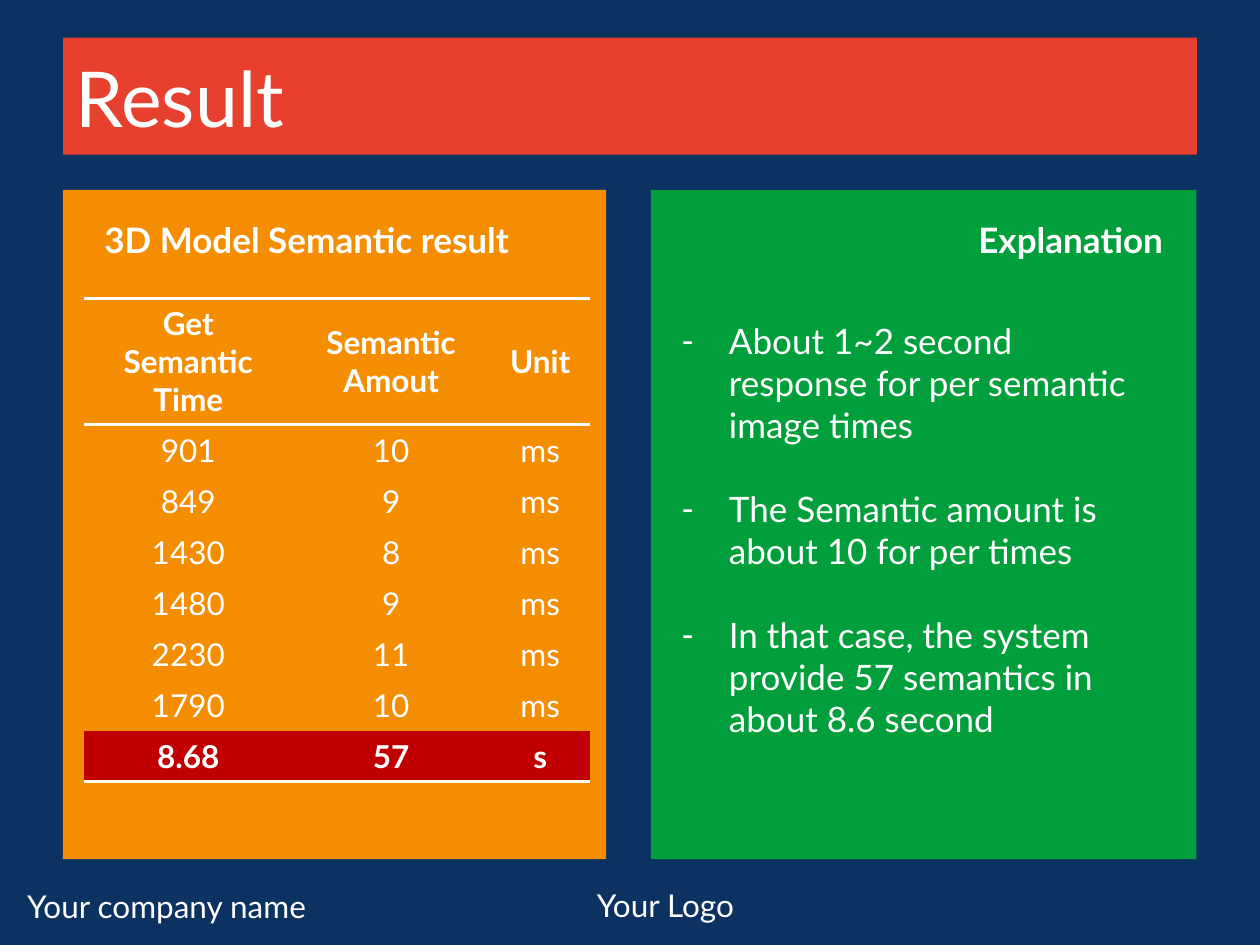
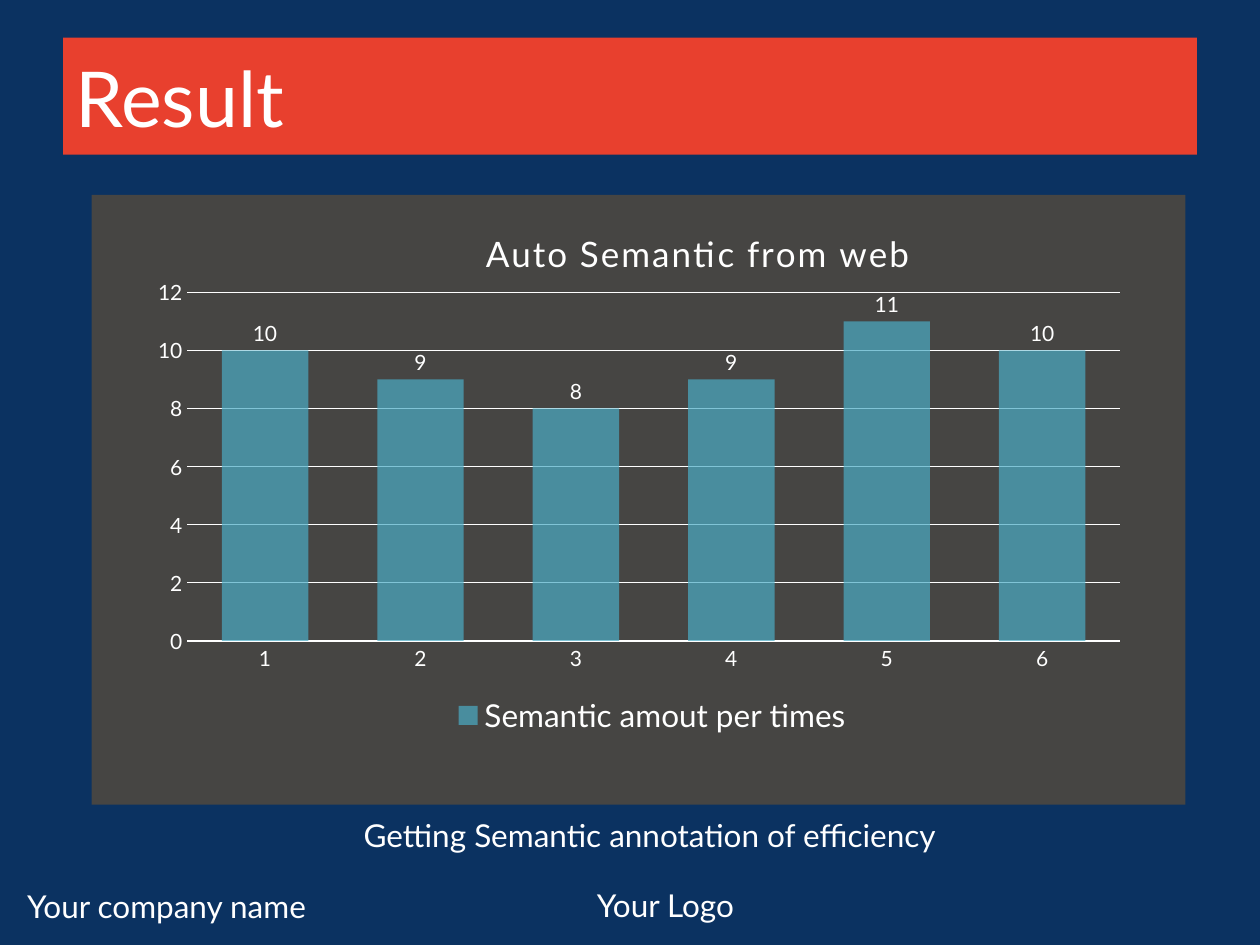
"""Build two result slides: a timing table with its explanation, and a column chart."""
from pptx import Presentation
from pptx.chart.data import CategoryChartData
from pptx.dml.color import RGBColor
from pptx.enum.chart import XL_CHART_TYPE as ChartType, XL_LABEL_POSITION as LabelPosition
from pptx.enum.chart import XL_LEGEND_POSITION as LegendPosition, XL_TICK_MARK as TickMark
from pptx.enum.shapes import MSO_SHAPE as Shape
from pptx.enum.text import MSO_ANCHOR as Anchor, MSO_AUTO_SIZE as AutoSize, PP_ALIGN as Align
from pptx.oxml import parse_xml
from pptx.oxml.ns import nsdecls, qn
from pptx.oxml.xmlchemy import OxmlElement
from pptx.util import Cm, Pt

FONT = "Lato"
COLORS = {
    "navy": "0B3261", "red": "E8402E", "orange": "F58D01", "green": "009F3C",
    "total": "C00000", "gray": "464543", "bar": "4BACC6", "white": "FFFFFF",
}
TITLE = "Result"
TITLE_AREA = (1.27, 0.76, 22.86, 2.36)
FOOTERS = [
    ("Your company name", (0.3, 17.75, 21.59, 0.86), Align.LEFT),
    ("Your Logo", (11.51, 17.73, 3.81, 1.07), Align.CENTER),
]
PANELS = [("orange", (1.27, 3.83, 10.95, 13.49)), ("green", (13.12, 3.83, 11, 13.49))]
HEADINGS = [
    (1, "3D Model Semantic result", (0.71, 4.27, 10.95, 1.78), Align.CENTER),
    (3, "Explanation", (12.7, 4.27, 11, 1.78), Align.RIGHT),
]
HEADER = ("Get Semantic Time", "Semantic Amout", "Unit")
TIMINGS = [(901, 10), (849, 9), (1430, 8), (1480, 9), (2230, 11), (1790, 10)]
TOTAL = ("8.68", "57", "s")
TABLE_PLACE = (1.7, 6.01)
COLUMN_WIDTHS = (4.19, 3.99, 2.02)
HEADER_HEIGHT, ROW_HEIGHT = 2.54, 1.03
NO_TABLE_STYLE = "{2D5ABB26-0587-4C30-8999-92F81FD0307C}"
EXPLANATION = [
    "About 1~2 second response for per semantic image times",
    "The Semantic amount is about 10 for per times",
    "In that case, the system provide 57 semantics in about 8.6 second",
]
EXPLANATION_AREA = (13.49, 6.32, 10.06, 8.81)
CHART_TITLE = "Auto Semantic from web"
CHART_SERIES = "Semantic amout per times"
CHART_PANEL = (1.85, 3.93, 22.05, 12.29)
CHART_AREA = (2.54, 4.11, 20.96, 11.81)
CAPTION = "Getting Semantic annotation of efficiency"
CAPTION_AREA = (6.1, 16.33, 14, 1.02)


def color(name):
    return RGBColor.from_string(COLORS[name])


def lengths(values):
    return [Cm(value) for value in values]


def place(shape, area):
    shape.left, shape.top, shape.width, shape.height = lengths(area)


def paint(target, name):
    target.fill.solid()
    target.fill.fore_color.rgb = color(name)


def style(font, size, bold=False):
    font.name, font.size, font.bold = FONT, Pt(size), bold
    font.color.rgb = color("white")


def add_bullet(para):
    properties = para._p.get_or_add_pPr()
    properties.set("marL", str(Cm(0.95)))
    properties.set("indent", str(-Cm(0.95)))
    dash = OxmlElement("a:buChar")
    dash.set("char", "-")
    properties.append(dash)


def write(frame, lines, size, bold=False, align=Align.LEFT, anchor=Anchor.TOP, bullets=False):
    frame.word_wrap = True
    frame.auto_size = AutoSize.NONE
    frame.vertical_anchor = anchor
    for number, line in enumerate(lines):
        para = frame.add_paragraph() if number else frame.paragraphs[0]
        if bullets:
            add_bullet(para)
        para.alignment = align
        para.space_before = Pt(size * 1.2 if number else 0)
        span = para.add_run()
        span.text = line
        style(span.font, size, bold)


def add_text(page, text, area, align):
    box = page.shapes.add_textbox(*lengths(area))
    write(box.text_frame, [text], 18, align=align)


def add_panel(page, name, area):
    panel = page.shapes.add_shape(Shape.RECTANGLE, *lengths(area))
    panel.shadow.inherit = False
    panel.line.fill.background()
    paint(panel, name)
    page.shapes._spTree.insert(2, panel._element)


def add_page(deck, layout):
    page = deck.slides.add_slide(deck.slide_layouts.get_by_name(layout))
    title = page.shapes.title
    place(title, TITLE_AREA)
    paint(title, "red")
    write(title.text_frame, [TITLE], 44, anchor=Anchor.MIDDLE)
    for footer in FOOTERS:
        add_text(page, *footer)
    return page


def add_borders(cell, sides):
    properties = cell._tc.get_or_add_tcPr()
    for side in sides:
        properties.insert(0, parse_xml(
            f'<a:ln{side} {nsdecls("a")} w="{Pt(2)}"><a:solidFill>'
            f'<a:srgbClr val="{COLORS["white"]}"/></a:solidFill></a:ln{side}>'))


def add_timing_table(page):
    rows = [HEADER, *((str(time), str(amount), "ms") for time, amount in TIMINGS), TOTAL]
    last = len(rows) - 1
    size = (sum(COLUMN_WIDTHS), HEADER_HEIGHT + last * ROW_HEIGHT)
    frame = page.shapes.add_table(len(rows), len(HEADER), *lengths(TABLE_PLACE + size))
    table = frame.table
    table.first_row = table.horz_banding = False
    table._tbl.tblPr.find(qn("a:tableStyleId")).text = NO_TABLE_STYLE
    for column, width in zip(table.columns, COLUMN_WIDTHS):
        column.width = Cm(width)
    for number, texts in enumerate(rows):
        table.rows[number].height = Cm(ROW_HEIGHT if number else HEADER_HEIGHT)
        for cell, text in zip(table.rows[number].cells, texts):
            cell.vertical_anchor = Anchor.MIDDLE
            para = cell.text_frame.paragraphs[0]
            para.alignment = Align.CENTER
            span = para.add_run()
            span.text = text
            style(span.font, 18, number in (0, last))
            if number:
                cell.margin_left = cell.margin_right = cell.margin_top = Cm(0.02)
                cell.margin_bottom = 0
            if number == 0:
                paint(cell, "orange")
                add_borders(cell, "BT")
            elif number == last:
                paint(cell, "total")
                add_borders(cell, "B")
            else:
                cell.fill.background()


def set_layout(element, index, inner=False, **sizes):
    for old in element.findall(qn("c:layout")):
        element.remove(old)
    target = '<c:layoutTarget val="inner"/>' if inner else ""
    modes = "".join(f'<c:{key}Mode val="edge"/>' for key in "xy")
    values = "".join(f'<c:{key} val="{value}"/>' for key, value in sizes.items())
    element.insert(index, parse_xml(
        f'<c:layout {nsdecls("c")}><c:manualLayout>{target}{modes}{values}'
        '</c:manualLayout></c:layout>'))


def add_amount_chart(page):
    data = CategoryChartData()
    data.categories = [str(number + 1) for number in range(len(TIMINGS))]
    data.add_series(CHART_SERIES, [amount for time, amount in TIMINGS])
    frame = page.shapes.add_chart(ChartType.COLUMN_CLUSTERED, *lengths(CHART_AREA), data)
    chart = frame.chart
    style(chart.font, 10)
    space = chart._chartSpace
    space.find(qn("c:chart")).addnext(parse_xml(
        f'<c:spPr {nsdecls("c", "a")}><a:noFill/><a:ln><a:noFill/></a:ln></c:spPr>'))

    chart.has_title = True
    span = chart.chart_title.text_frame.paragraphs[0].add_run()
    span.text = CHART_TITLE
    style(span.font, 20)
    span._r.get_or_add_rPr().set("spc", "100")
    set_layout(chart.chart_title._element, 1, x=0.34, y=0.03)

    chart.has_legend = True
    chart.legend.position = LegendPosition.BOTTOM
    chart.legend.include_in_layout = False
    style(chart.legend.font, 18)
    set_layout(chart.legend._element, 1, x=0.31, y=0.83)
    set_layout(space.find(".//" + qn("c:plotArea")), 0, inner=True,
               x=0.059, y=0.151, w=0.897, h=0.595)

    categories, values = chart.category_axis, chart.value_axis
    for axis in (categories, values):
        axis.major_tick_mark = axis.minor_tick_mark = TickMark.NONE
        style(axis.tick_labels.font, 12)
    values.minimum_scale, values.maximum_scale, values.major_unit = 0, 12, 2
    values.format.line.fill.background()
    for line, width in ((categories.format.line, 1.25), (values.major_gridlines.format.line, 0.75)):
        line.color.rgb = color("white")
        line.width = Pt(width)

    plot = chart.plots[0]
    plot.vary_by_categories = False
    plot.gap_width, plot.overlap = 80, 25
    bars = plot.series[0]
    paint(bars.format, "bar")
    alpha = OxmlElement("a:alpha")
    alpha.set("val", "70000")
    bars._element.find(".//" + qn("a:srgbClr")).append(alpha)
    labels = bars.data_labels
    labels.show_value = True
    labels.position = LabelPosition.OUTSIDE_END
    style(labels.font, 12)


def build_table_page(deck):
    page = add_page(deck, "Comparison")
    for panel in PANELS:
        add_panel(page, *panel)
    for index, text, area, align in HEADINGS:
        heading = page.placeholders[index]
        place(heading, area)
        write(heading.text_frame, [text], 20, True, align)
    unused = page.placeholders[2]._element
    unused.getparent().remove(unused)
    add_timing_table(page)
    explanation = page.placeholders[4]
    place(explanation, EXPLANATION_AREA)
    write(explanation.text_frame, EXPLANATION, 20, bullets=True)


def build_chart_page(deck):
    page = add_page(deck, "Title Only")
    add_panel(page, "gray", CHART_PANEL)
    add_text(page, CAPTION, CAPTION_AREA, Align.CENTER)
    add_amount_chart(page)


def main():
    deck = Presentation()
    deck.slide_width, deck.slide_height = Cm(25.4), Cm(19.05)
    paint(deck.slide_master.background, "navy")
    build_table_page(deck)
    build_chart_page(deck)
    deck.save("out.pptx")


if __name__ == "__main__":
    main()
